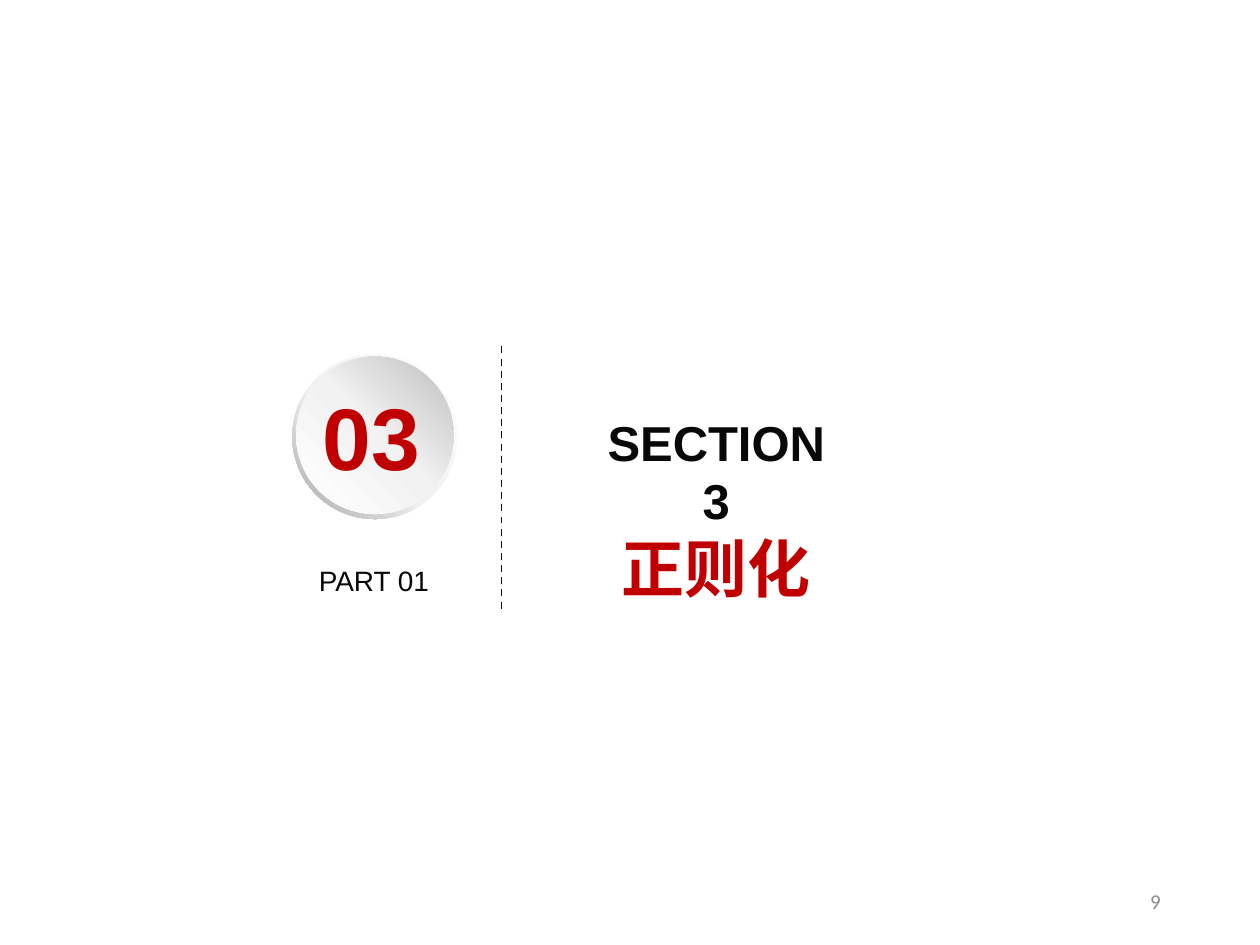
import pptx
import pptx.dml.color
import pptx.enum.dml
import pptx.enum.shapes
import pptx.enum.text
import pptx.oxml
import pptx.oxml.ns
import pptx.util
from pptx.util import Inches

ALIGN = pptx.enum.text.PP_ALIGN
ANCHOR = pptx.enum.text.MSO_ANCHOR
SHAPE = pptx.enum.shapes.MSO_SHAPE

COLORS = {"ink": "080808", "accent": "C00000", "number": "8C8C8C"}

# text, size, font, color, bold
TITLE_BOX = (4.66, 3.22, 2.05, 1.7)
TITLE_LINES = [
    ("SECTION 3", 28, "Arial", "ink", True),
    ("正则化", 36, "Noto Sans CJK SC", "accent", True),
]

# box, margin, alignment, anchor, line
LABELS = [
    ((7.06, 6.95, 2.25, 0.4), 0.1, ALIGN.RIGHT, ANCHOR.MIDDLE,
     ("9", 12, "Calibri", "number", False)),
    ((2.53, 4.47, 0.99, 0.27), 0, ALIGN.LEFT, ANCHOR.TOP,
     ("PART 01", 16, "Arial", "ink", False)),
    ((2.56, 3.04, 0.99, 0.84), 0, ALIGN.LEFT, ANCHOR.TOP,
     ("03", 50, "Arial", "accent", True)),
]

# preset, left, top, diameter, gradient angle, gradient stops
BADGE = [
    (SHAPE.DONUT, 2.32, 2.81, 1.31, 135,
     [(0, "FFFFFF"), (55, "F2F2F2"), (100, "A6A6A6")]),
    (SHAPE.OVAL, 2.35, 2.83, 1.25, 315,
     [(0, "FFFFFF"), (51, "F2F2F2"), (100, "BFBFBF")]),
]
RING_THICKNESS = 0.049

DIVIDER_X, DIVIDER_TOP, DIVIDER_BOTTOM = 3.98, 2.73, 4.83


def rgb(name):
    return pptx.dml.color.RGBColor.from_string(COLORS[name])


def write_line(paragraph, line, alignment):
    text, size, font_name, color, bold = line
    run = paragraph.add_run()
    run.text = text
    paragraph.alignment = alignment
    font = paragraph.font
    font.size = pptx.util.Pt(size)
    font.name = font_name
    font.bold = bold
    font.color.rgb = rgb(color)
    if not text.isascii():
        properties = run.font._element
        east_asian = properties.makeelement(pptx.oxml.ns.qn("a:ea"), {"typeface": font_name})
        properties.append(east_asian)


def set_gradient(shape, angle, stops):
    """Fill with any number of stops; the angle runs clockwise."""
    stop_xml = "".join(
        f'<a:gs pos="{position * 1000}"><a:srgbClr val="{color}"/></a:gs>'
        for position, color in stops
    )
    gradient = pptx.oxml.parse_xml(
        f'<a:gradFill {pptx.oxml.ns.nsdecls("a")} rotWithShape="1">'
        f'<a:gsLst>{stop_xml}</a:gsLst><a:lin ang="{angle * 60000}" scaled="0"/></a:gradFill>'
    )
    shape._element.spPr.find(pptx.oxml.ns.qn("a:prstGeom")).addnext(gradient)


def add_title(slide):
    title = slide.shapes.title
    title.left, title.top, title.width, title.height = map(Inches, TITLE_BOX)
    frame = title.text_frame
    frame.word_wrap = True
    frame.auto_size = pptx.enum.text.MSO_AUTO_SIZE.NONE
    frame.vertical_anchor = ANCHOR.TOP
    for index, line in enumerate(TITLE_LINES):
        paragraph = frame.add_paragraph() if index else frame.paragraphs[0]
        write_line(paragraph, line, ALIGN.CENTER)


def add_divider(slide):
    divider = slide.shapes.add_connector(
        pptx.enum.shapes.MSO_CONNECTOR.STRAIGHT,
        Inches(DIVIDER_X), Inches(DIVIDER_BOTTOM), Inches(DIVIDER_X), Inches(DIVIDER_TOP),
    )
    divider.line.color.rgb = rgb("ink")
    divider.line.width = pptx.util.Pt(1)
    divider.line.dash_style = pptx.enum.dml.MSO_LINE.DASH
    properties = divider._element.spPr
    properties.append(properties.makeelement(pptx.oxml.ns.qn("a:effectLst"), {}))


def add_badge(slide):
    group = slide.shapes.add_group_shape()
    for preset, left, top, diameter, angle, stops in BADGE:
        shape = group.shapes.add_shape(
            preset, Inches(left), Inches(top), Inches(diameter), Inches(diameter)
        )
        if preset == SHAPE.DONUT:
            shape.adjustments[0] = RING_THICKNESS
        shape.shadow.inherit = False
        shape.line.fill.background()
        set_gradient(shape, angle, stops)


def add_label(slide, box, margin, alignment, anchor, line):
    frame = slide.shapes.add_textbox(*map(Inches, box)).text_frame
    frame.word_wrap = True
    frame.vertical_anchor = anchor
    frame.margin_left = frame.margin_right = Inches(margin)
    frame.margin_top = frame.margin_bottom = Inches(margin / 2)
    write_line(frame.paragraphs[0], line, alignment)


def main():
    presentation = pptx.Presentation()
    presentation.slide_width, presentation.slide_height = Inches(10), Inches(7.5)
    slide = presentation.slides.add_slide(presentation.slide_layouts.get_by_name("Title Only"))
    add_title(slide)
    add_divider(slide)
    add_badge(slide)
    for label in LABELS:
        add_label(slide, *label)
    presentation.save("out.pptx")


if __name__ == "__main__":
    main()
